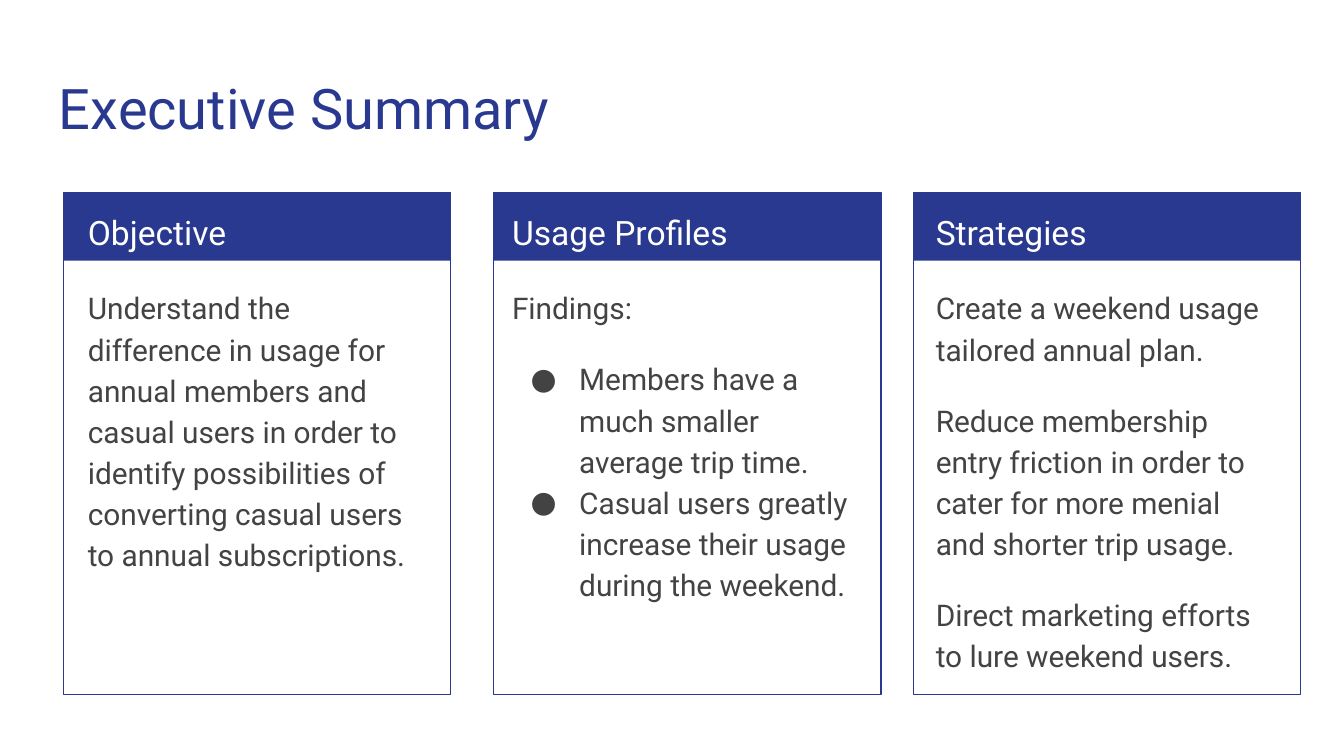
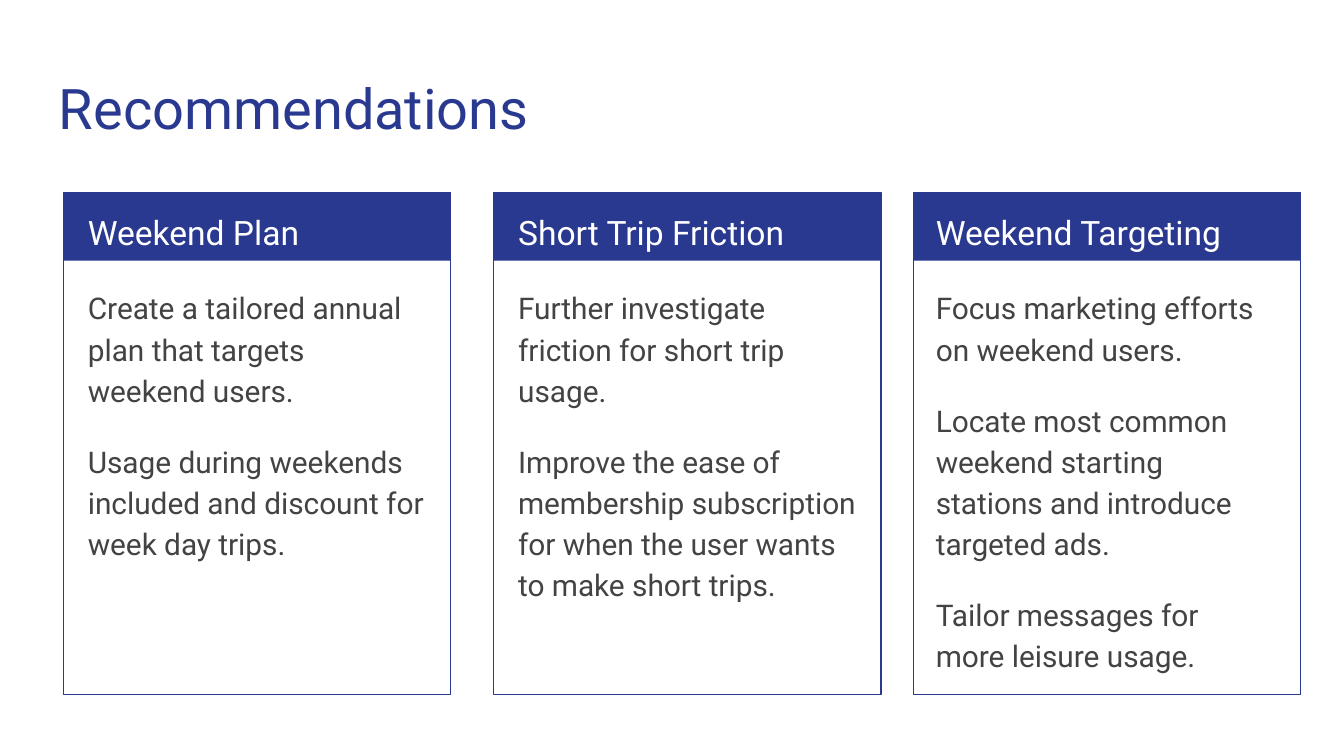
"""Build two slides, each with a title and three headed cards."""
from dataclasses import dataclass

from lxml import etree
from pptx import Presentation
from pptx import util as u
from pptx.dml.color import RGBColor
from pptx.enum import shapes, text
from pptx.oxml.ns import qn


@dataclass(frozen=True)
class Theme:
    """Colours, font and type sizes, in points."""
    blue: str = "2A3990"
    grey: str = "434343"
    white: str = "FFFFFF"
    font: str = "Roboto"
    title_size: float = 30
    heading_size: float = 18
    body_size: float = 16
    line_spacing: float = 1.15
    paragraph_gap: float = 16
    inset: float = 7.2
    outline: float = 0.75


@dataclass(frozen=True)
class Box:
    """A rectangle, in points."""
    left: float
    top: float
    width: float
    height: float

    def lengths(self) -> tuple:
        """Return the four measures as lengths."""
        return tuple(u.Pt(n) for n in (self.left, self.top, self.width, self.height))


@dataclass(frozen=True)
class Line:
    """One paragraph of a card."""
    words: str
    bullet: bool = False


@dataclass(frozen=True)
class Card:
    """A heading, its paragraphs and the text's offset from the card edge."""
    heading: str
    lines: tuple[Line, ...]
    offset: float = 6


THEME = Theme()
SLIDE_WIDTH, SLIDE_HEIGHT = 720, 405
TITLE_BOX = Box(24.5, 32.4, 671, 47.5)
CARD_LEFTS = (34, 264.5, 489.25)
CARD_TOP, CARD_WIDTH, CARD_HEIGHT = 103, 207.4, 269.2
HEADER_HEIGHT = 36.7
HEADING_WIDTH, HEADING_HEIGHT = 196.6, 36
BODY_TOP, BODY_WIDTH, BODY_HEIGHT = 145.4, 195.2, 220.3
BULLET_MARGIN, BULLET_INDENT = 36, -26

DECK = {
    "Executive Summary": (
        Card("Objective", (
            Line("Understand the difference in usage for annual members and casual "
                 "users in order to identify possibilities of converting casual "
                 "users to annual subscriptions."),
        )),
        Card("Usage Profiles", (
            Line("Findings:"),
            Line("Members have a much smaller average trip time.", bullet=True),
            Line("Casual users greatly increase their usage during the weekend.",
                 bullet=True),
        ), offset=2.75),
        Card("Strategies", (
            Line("Create a weekend usage tailored annual plan."),
            Line("Reduce membership entry friction in order to cater for more "
                 "menial and shorter trip usage."),
            Line("Direct marketing efforts to lure weekend users."),
        ), offset=5),
    ),
    "Recommendations": (
        Card("Weekend Plan", (
            Line("Create a tailored annual plan that targets weekend users."),
            Line("Usage during weekends included and discount for week day trips."),
        )),
        Card("Short Trip Friction", (
            Line("Further investigate friction for short trip usage."),
            Line("Improve the ease of membership subscription for when the user "
                 "wants to make short trips."),
        )),
        Card("Weekend Targeting", (
            Line("Focus marketing efforts on weekend users."),
            Line("Locate most common weekend starting stations and introduce "
                 "targeted ads."),
            Line("Tailor messages for more leisure usage."),
        ), offset=5),
    ),
}


def add_bullet(paragraph) -> None:
    """Give a paragraph a hanging round bullet."""
    properties = paragraph._p.get_or_add_pPr()
    properties.set("marL", str(u.Pt(BULLET_MARGIN)))
    properties.set("indent", str(u.Pt(BULLET_INDENT)))
    colour = etree.SubElement(properties, qn("a:buClr"))
    etree.SubElement(colour, qn("a:srgbClr")).set("val", THEME.grey)
    etree.SubElement(properties, qn("a:buFont")).set("typeface", THEME.font)
    etree.SubElement(properties, qn("a:buChar")).set("char", "●")


def add_text(slide, box: Box, lines: tuple[Line, ...], size: float,
             colour: str, spacing: float = THEME.line_spacing) -> None:
    """Add a wrapped text box with one paragraph for each line."""
    frame = slide.shapes.add_textbox(*box.lengths()).text_frame
    frame.word_wrap = True
    frame.vertical_anchor = text.MSO_ANCHOR.TOP
    frame.margin_left = frame.margin_right = u.Pt(THEME.inset)
    frame.margin_top = frame.margin_bottom = u.Pt(THEME.inset)
    frame.text = "\n".join(line.words for line in lines)
    after_bullet = True
    for index, (paragraph, line) in enumerate(zip(frame.paragraphs, lines)):
        paragraph.line_spacing = spacing
        in_list = line.bullet and after_bullet
        gap = 0 if index == 0 or in_list else THEME.paragraph_gap
        paragraph.space_before = u.Pt(gap)
        after_bullet = line.bullet
        if line.bullet:
            add_bullet(paragraph)
        for run in paragraph.runs:
            run.font.name = THEME.font
            run.font.size = u.Pt(size)
            run.font.color.rgb = RGBColor.from_string(colour)


def add_rectangle(group, box: Box, filled: bool) -> None:
    """Add a blue rectangle, either filled or outlined."""
    shape = group.shapes.add_shape(shapes.MSO_SHAPE.RECTANGLE, *box.lengths())
    shape.shadow.inherit = False
    blue = RGBColor.from_string(THEME.blue)
    if filled:
        shape.fill.solid()
        shape.fill.fore_color.rgb = blue
        shape.line.fill.background()
    else:
        shape.fill.background()
        shape.line.color.rgb = blue
        shape.line.width = u.Pt(THEME.outline)


def add_card(slide, left: float, card: Card) -> None:
    """Draw a card's header band, frame, heading and body."""
    group = slide.shapes.add_group_shape()
    add_rectangle(group, Box(left, CARD_TOP, CARD_WIDTH, HEADER_HEIGHT), filled=True)
    add_rectangle(group, Box(left, CARD_TOP, CARD_WIDTH, CARD_HEIGHT), filled=False)
    text_left = left + card.offset
    add_text(slide, Box(text_left, CARD_TOP, HEADING_WIDTH, HEADING_HEIGHT),
             (Line(card.heading),), THEME.heading_size, THEME.white)
    add_text(slide, Box(text_left, BODY_TOP, BODY_WIDTH, BODY_HEIGHT),
             card.lines, THEME.body_size, THEME.grey)


def add_card_slide(presentation, title: str, cards: tuple[Card, ...]) -> None:
    """Add a slide with a title above a row of cards."""
    slide = presentation.slides.add_slide(presentation.slide_layouts[6])
    slide.background.fill.solid()
    slide.background.fill.fore_color.rgb = RGBColor.from_string(THEME.white)
    add_text(slide, TITLE_BOX, (Line(title),), THEME.title_size, THEME.blue, spacing=1.0)
    for left, card in zip(CARD_LEFTS, cards):
        add_card(slide, left, card)


def main() -> None:
    """Build and save the presentation."""
    presentation = Presentation()
    presentation.slide_width = u.Pt(SLIDE_WIDTH)
    presentation.slide_height = u.Pt(SLIDE_HEIGHT)
    for title, cards in DECK.items():
        add_card_slide(presentation, title, cards)
    presentation.save("out.pptx")


main()
